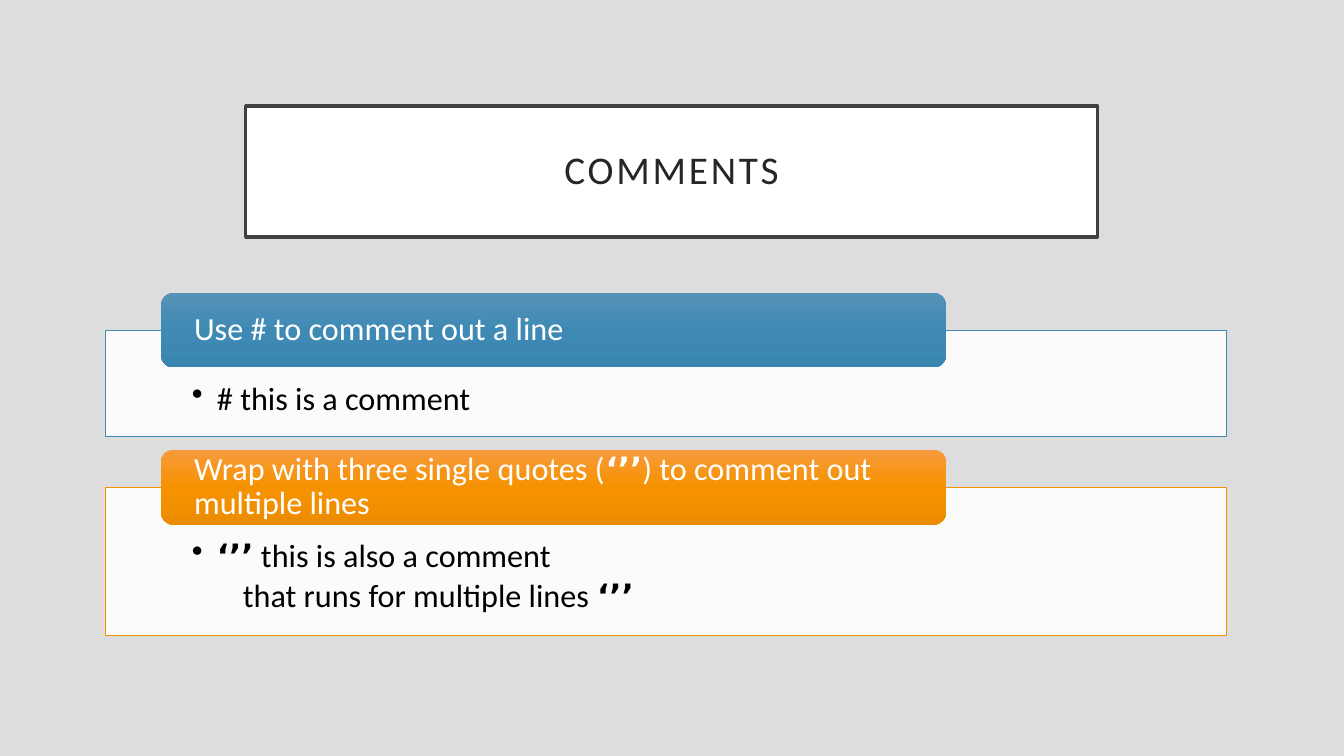
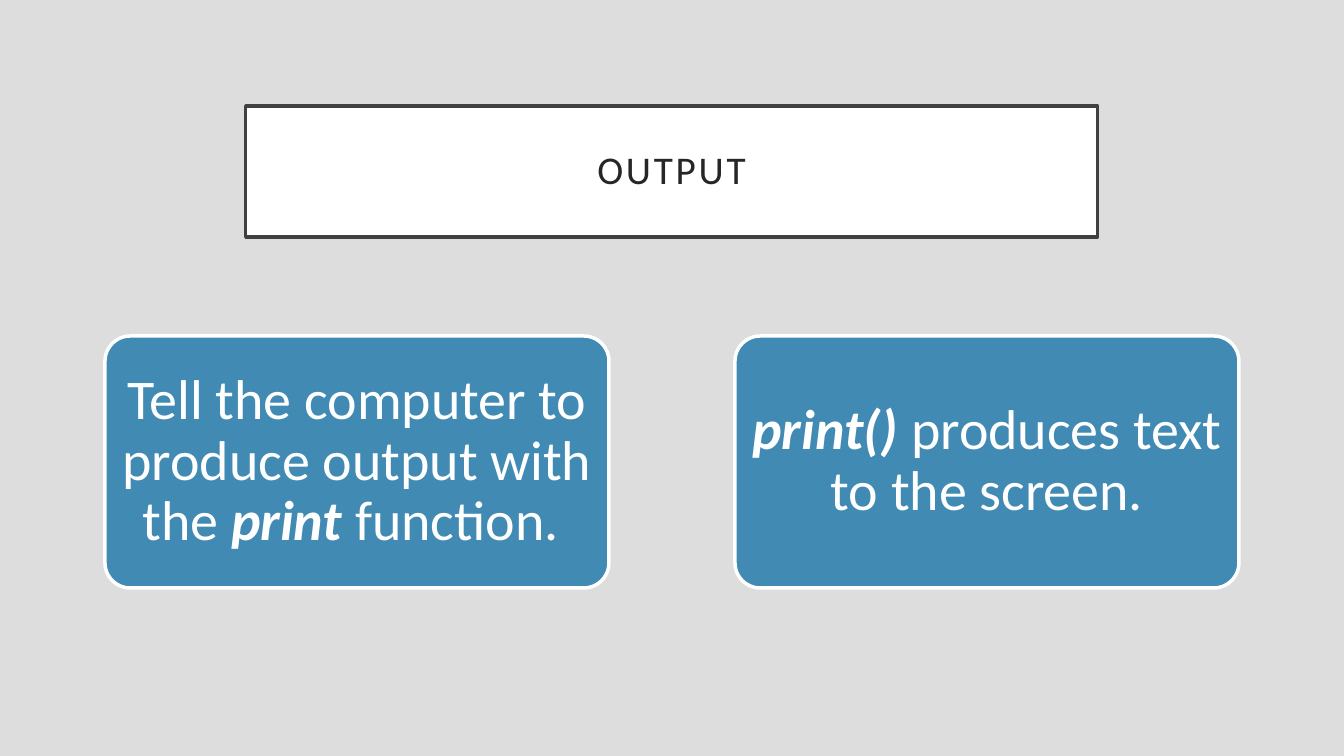
import copy

import lxml.etree
import pptx
import pptx.dml.color
import pptx.enum.shapes
import pptx.enum.text
import pptx.oxml.ns
import pptx.util

Pt = pptx.util.Pt
qn = pptx.oxml.ns.qn
SHAPES = pptx.enum.shapes.MSO_SHAPE
ALIGN = pptx.enum.text.PP_ALIGN
ANCHOR = pptx.enum.text.MSO_ANCHOR

BLUE, ORANGE, WHITE, BLACK = "418AB3", "F69200", "FFFFFF", "000000"
BACKGROUND, FRAME, TITLE_INK = "DDDDDD", "404040", "262626"
BLUE_SHADES = ("5592B7", "3F8AB5", "3986B1")
ORANGE_SHADES = ("F79A3D", ORANGE, "EC8C00")
FONT = "Calibri"

PLAIN = {}
QUOTES = {"name": "DejaVu Sans", "bold": True}
CODE = {"bold": True, "italic": True}

TITLE_BOX = (175.5, 75.6, 608.4, 93.6)
CONTENT_LEFT = 75
PANEL_TOP, PANEL_WIDTH, PANEL_GAP = 209, 801, 9.6
TAB_HEIGHT, TAB_OVERHANG = 53.5, 27
CARD_TOP, CARD_WIDTH, CARD_HEIGHT, CARD_GAP = 240, 360, 180, 90

PANELS = [
    (102.6, BLUE, BLUE_SHADES,
     [("Use # to comment out a line", PLAIN)],
     [[("# this is a comment", PLAIN)]]),
    (132.8, ORANGE, ORANGE_SHADES,
     [("Wrap with three single quotes (", PLAIN), ("‘’’", QUOTES),
      (") to comment out multiple lines", PLAIN)],
     [[("‘’’", QUOTES), (" this is also a comment", PLAIN)],
      [("that runs for multiple lines ", PLAIN), ("‘’’", QUOTES)]]),
]
CARDS = [
    [("Tell the computer to produce output with the ", PLAIN),
     ("print", CODE), (" function. ", PLAIN)],
    [("print() ", CODE), ("produces text to the screen.", PLAIN)],
]


def rgb(value):
    return pptx.dml.color.RGBColor.from_string(value)


def paint(shape, fill, line=None, weight=0):
    shape.fill.solid()
    shape.fill.fore_color.rgb = rgb(fill)
    if line:
        shape.line.color.rgb = rgb(line)
        shape.line.width = Pt(weight)
    else:
        shape.line.fill.background()


def paint_gradient(shape, shades):
    shape.fill.gradient()
    shape.fill.gradient_angle = 270
    stops = shape._element.spPr.find(".//" + qn("a:gsLst"))
    stops.insert(1, copy.deepcopy(stops[0]))
    for index, (stop, shade) in enumerate(zip(shape.fill.gradient_stops, shades)):
        stop.color.rgb = rgb(shade)
        stop.position = index / 2


def add_box(page, kind, left, top, width, height):
    box = page.shapes.add_shape(kind, Pt(left), Pt(top), Pt(width), Pt(height))
    box.shadow.inherit = False
    return box


def set_frame(shape, anchor, horizontal, top, bottom):
    frame = shape.text_frame
    frame.word_wrap = True
    frame.auto_size = pptx.enum.text.MSO_AUTO_SIZE.NONE
    frame.vertical_anchor = anchor
    frame.margin_left = frame.margin_right = Pt(horizontal)
    frame.margin_top, frame.margin_bottom = Pt(top), Pt(bottom)
    return frame


def write(para, spans, size, color, align=ALIGN.LEFT):
    para.alignment = align
    para.line_spacing = 0.9
    for text, style in spans:
        span = para.add_run()
        span.text = text
        font = span.font
        font.size = Pt(size)
        font.color.rgb = rgb(color)
        font.name = style.get("name", FONT)
        font.bold = style.get("bold", False)
        font.italic = style.get("italic", False)


def indent(para, margin, bullet=None):
    properties = para._p.get_or_add_pPr()
    properties.set("marL", str(Pt(margin)))
    properties.set("indent", str(Pt(-margin if bullet else 0)))
    if bullet:
        lxml.etree.SubElement(properties, qn("a:buChar")).set("char", bullet)


def add_page(deck, heading):
    page = deck.slides.add_slide(deck.slide_layouts[5])
    title = page.shapes.title
    title.left, title.top, title.width, title.height = map(Pt, TITLE_BOX)
    paint(title, WHITE, FRAME, 2.5)
    frame = set_frame(title, ANCHOR.MIDDLE, 14.4, 14.4, 14.4)
    para = frame.paragraphs[0]
    write(para, [(heading, PLAIN)], 28, TITLE_INK, ALIGN.CENTER)
    para.runs[0]._r.get_or_add_rPr().set("spc", "200")
    return page


def add_panel(page, left, top, width, height, color, shades, heading, lines):
    body = add_box(page, SHAPES.RECTANGLE, left, top + TAB_OVERHANG,
                   width, height - TAB_OVERHANG)
    paint(body, WHITE, color, 0.5)
    body_color = body._element.spPr.find(qn("a:solidFill"))[0]
    lxml.etree.SubElement(body_color, qn("a:alpha")).set("val", "90000")
    frame = set_frame(body, ANCHOR.TOP, 62, 37.4, 13)
    for index, spans in enumerate(lines):
        para = frame.add_paragraph() if index else frame.paragraphs[0]
        if index:
            indent(para, 36.5)
        else:
            indent(para, 18, "•")
        para.space_after = Pt(3.5)
        write(para, spans, 23, BLACK)

    tab = add_box(page, SHAPES.ROUNDED_RECTANGLE, left + 0.05 * width, top,
                  0.7 * width, TAB_HEIGHT)
    paint(tab, color)
    paint_gradient(tab, shades)
    frame = set_frame(tab, ANCHOR.MIDDLE, 21, 0, 0)
    write(frame.paragraphs[0], heading, 23, WHITE)


def add_card(page, left, top, width, height, spans):
    card = add_box(page, SHAPES.ROUNDED_RECTANGLE, left, top, width, height)
    card.adjustments[0] = 0.1
    paint(card, BLUE, WHITE, 2.5)
    frame = set_frame(card, ANCHOR.MIDDLE, 5.8, 4.3, 4.3)
    write(frame.paragraphs[0], spans, 40, WHITE, ALIGN.CENTER)


def build_comments(deck):
    page = add_page(deck, "COMMENTS")
    top = PANEL_TOP
    for height, *content in PANELS:
        add_panel(page, CONTENT_LEFT, top, PANEL_WIDTH, height, *content)
        top += height + PANEL_GAP


def build_output(deck):
    page = add_page(deck, "OUTPUT")
    for index, spans in enumerate(CARDS):
        left = CONTENT_LEFT + index * (CARD_WIDTH + CARD_GAP)
        add_card(page, left, CARD_TOP, CARD_WIDTH, CARD_HEIGHT, spans)


def main():
    deck = pptx.Presentation()
    deck.slide_width, deck.slide_height = Pt(960), Pt(540)
    backdrop = deck.slide_master.background.fill
    backdrop.solid()
    backdrop.fore_color.rgb = rgb(BACKGROUND)
    build_comments(deck)
    build_output(deck)
    deck.save("out.pptx")


if __name__ == "__main__":
    main()
